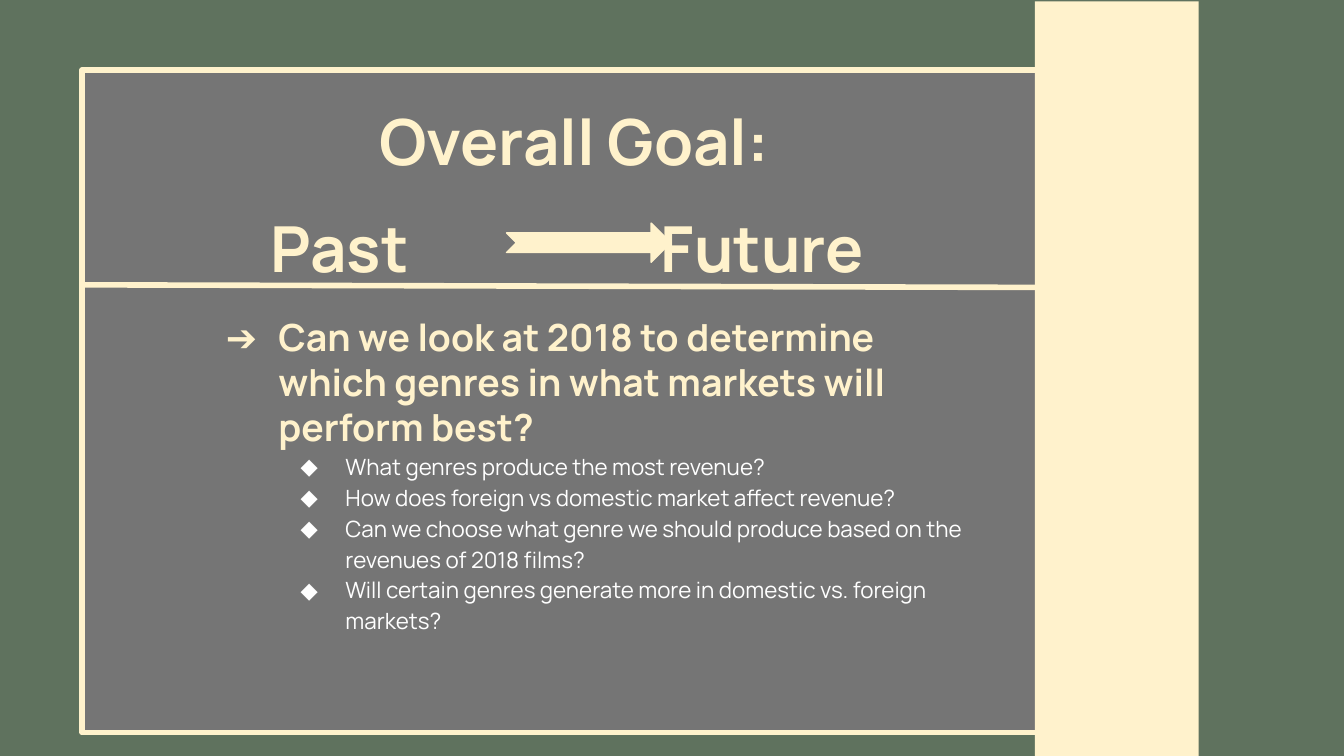
from lxml import etree
from pptx import Presentation
from pptx.dml.color import RGBColor
from pptx.enum.shapes import MSO_CONNECTOR, MSO_SHAPE
from pptx.enum.text import MSO_ANCHOR, MSO_AUTO_SIZE, PP_ALIGN
from pptx.oxml.ns import qn
from pptx.util import Pt

RECTANGLE, ARROW = MSO_SHAPE.RECTANGLE, MSO_SHAPE.NOTCHED_RIGHT_ARROW
STRAIGHT = MSO_CONNECTOR.STRAIGHT
TOP, BOTTOM = MSO_ANCHOR.TOP, MSO_ANCHOR.BOTTOM
NO_FIT, LEFT = MSO_AUTO_SIZE.NONE, PP_ALIGN.LEFT

GREEN = RGBColor(0x5F, 0x72, 0x5E)
GRAY = RGBColor(0x75, 0x75, 0x75)
CREAM = RGBColor(0xFF, 0xF2, 0xCC)
WHITE = RGBColor(0xFF, 0xFF, 0xFF)
FONT = "Manrope"
INSET = Pt(7.2)

QUESTION = "Can we look at 2018 to determine which genres in what markets will perform best?"
SUBQUESTIONS = [
    "What genres produce the most revenue?",
    "How does foreign vs domestic market affect revenue?",
    "Can we choose what genre we should produce based on the revenues of 2018 films?",
    "Will certain genres generate more in domestic vs. foreign markets?",
]


def write(shape, lines, size=34, color=CREAM, bold=True, anchor=TOP,
          bullet=None, margin=0, hanging=0, level=0, spacing=1.0, tab=None):
    """Append lines as paragraphs, filling the empty first paragraph first."""
    frame = shape.text_frame
    frame.word_wrap, frame.auto_size, frame.vertical_anchor = True, NO_FIT, anchor
    frame.margin_left = frame.margin_right = INSET
    frame.margin_top = frame.margin_bottom = INSET
    for line in lines:
        paragraph = frame.add_paragraph() if frame.text else frame.paragraphs[0]
        paragraph.alignment, paragraph.level = LEFT, level
        paragraph.line_spacing = spacing
        run = paragraph.add_run()
        run.text = line
        font = run.font
        font.name, font.size, font.bold = FONT, Pt(size), bold
        font.color.rgb = color
        properties = paragraph._p.get_or_add_pPr()
        if bullet:
            properties.set("marL", str(Pt(margin)))
            properties.set("indent", str(-Pt(hanging)))
            bullet_color = etree.SubElement(properties, qn("a:buClr"))
            etree.SubElement(bullet_color, qn("a:srgbClr"), val=str(color))
            etree.SubElement(properties, qn("a:buFont"), typeface=FONT)
            etree.SubElement(properties, qn("a:buChar"), char=bullet)
        if tab:
            stops = etree.SubElement(properties, qn("a:tabLst"))
            etree.SubElement(stops, qn("a:tab"), pos=str(Pt(tab)), algn="l")


def add_block(preset, left, top, width, height, fill, line_width=None):
    block = slide.shapes.add_shape(preset, Pt(left), Pt(top), Pt(width), Pt(height))
    block.shadow.inherit = False
    block.fill.solid()
    block.fill.fore_color.rgb = fill
    if line_width:
        block.line.color.rgb = CREAM
        block.line.width = Pt(line_width)
    else:
        block.line.fill.background()


deck = Presentation()
deck.slide_width, deck.slide_height = Pt(720), Pt(405)
slide = deck.slides.add_slide(deck.slide_layouts[5])
slide.background.fill.solid()
slide.background.fill.fore_color.rgb = GREEN

# Panel
add_block(RECTANGLE, 44, 37.5, 542, 355, GRAY, 3)

# Past to future, with a tab leaving room for the arrow
timeline = slide.shapes.add_textbox(Pt(138), Pt(100), Pt(440), Pt(60))
write(timeline, ["Past\tFuture"], anchor=BOTTOM, tab=209)

# Questions
questions = slide.shapes.add_textbox(Pt(106), Pt(161.3), Pt(419), Pt(240))
write(questions, [QUESTION], size=20, bullet="➔", margin=36, hanging=28)
write(questions, SUBQUESTIONS, size=12, color=WHITE, bold=False, bullet="◆",
      margin=72, hanging=24, level=1, spacing=1.15)

# Side band, arrow and divider
add_block(RECTANGLE, 554.4, 0.7, 87.8, 404.3, CREAM)
add_block(ARROW, 271.4, 119.5, 88, 21, CREAM, 0.75)
divider = slide.shapes.add_connector(STRAIGHT, Pt(44), Pt(152.6), Pt(556.5), Pt(154))
divider.line.color.rgb = CREAM
divider.line.width = Pt(3)
etree.SubElement(divider._element.spPr, qn("a:effectLst"))

# Title, moved in front of the panel
title = slide.shapes.title
title.left, title.top, title.width, title.height = Pt(196), Pt(47.5), Pt(239), Pt(65)
write(title, ["Overall Goal:"])
slide.shapes._spTree.append(title._element)

deck.save("out.pptx")
